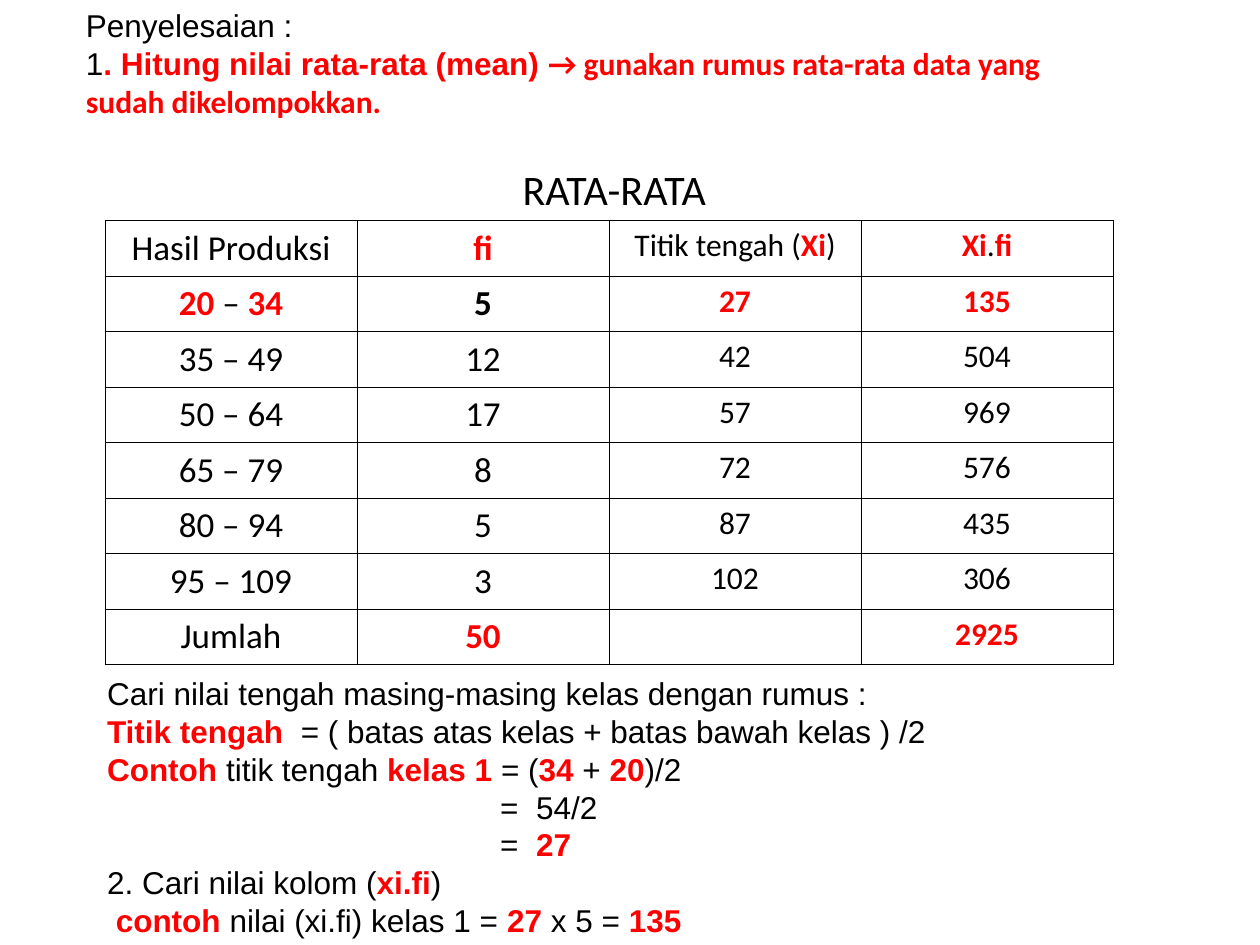
from lxml import etree
from pptx import Presentation
from pptx import util as u
from pptx.dml.color import RGBColor
from pptx.enum import text
from pptx.oxml import parse_xml

NS = "http://schemas.openxmlformats.org/drawingml/2006/main"


def color(target, value):
    target.rgb = RGBColor.from_string(value)


def write(p, marked, size, font):
    for i, part in enumerate(marked.split("*")):
        if part:
            r = p.add_run()
            r.text = part
            r.font.size, r.font.name = u.Pt(size), font
            r.font.bold = i % 2 == 1
            color(r.font.color, "FF0000" if i % 2 else "000000")


prs = Presentation()
prs.slide_width, prs.slide_height = u.Inches(10), u.Inches(7.5)
col, row = prs.slide_width / 12, prs.slide_height / 30
s = prs.slides.add_slide(prs.slide_layouts[1])

rows = [
    ["Hasil Produksi", "*fi*", "Titik tengah (*Xi*)", "*Xi*.*fi*"],
    ["*20 *– *34*", "5", "*27*", "*135*"],
    ["35 – 49", "12", "42", "504"],
    ["50 – 64", "17", "57", "969"],
    ["65 – 79", "8", "72", "576"],
    ["80 – 94", "5", "87", "435"],
    ["95 – 109", "3", "102", "306"],
    ["Jumlah", "*50*", "", "*2925*"],
]
sp = s.shapes.add_table(8, 4, int(col), int(7 * row), int(9.6 * col), u.Inches(3.47))
tbl = sp.table
tbl.first_row = tbl.horz_banding = False
for i, values in enumerate(rows):
    for j, value in enumerate(values):
        cell = tbl.cell(i, j)
        p = cell.text_frame.paragraphs[0]
        p.alignment = text.PP_ALIGN.CENTER
        write(p, value, 20 if j < 2 else 18, "Calibri")
        cell.fill.background()
        tcPr = cell._tc.get_or_add_tcPr()
        for k, side in enumerate(("lnL", "lnR", "lnT", "lnB")):
            tcPr.insert(k, parse_xml(
                f'<a:{side} xmlns:a="{NS}" w="{u.Pt(0.45)}"><a:solidFill>'
                f'<a:srgbClr val="000000"/></a:solidFill></a:{side}>'))
tbl.cell(1, 1).text_frame.paragraphs[0].runs[0].font.bold = True

title, body = s.placeholders
heading = s.shapes.add_textbox(0, 0, 0, 0)
blocks = [
    (title, (2.6, 5, 6.5, 2), 24, "Calibri", ["RATA-RATA"]),
    (heading, (0.7, 0, 9.9, 4), 18, "Arial", [
        "Penyelesaian :",
        "1*. Hitung nilai rata-rata (mean) *"
        "*→ gunakan rumus rata-rata data yang sudah dikelompokkan.*",
    ]),
    (body, (0.9, 21.2, 10.8, 8.8), 18, "Arial", [
        "Cari nilai tengah masing-masing kelas dengan rumus :",
        "*Titik tengah*  = ( batas atas kelas + batas bawah kelas ) /2",
        "*Contoh* titik tengah *kelas 1* = (*34* + *20*)/2",
        "=  54/2",
        "=  *27*",
        "2. Cari nilai kolom (*xi.fi*)",
        " *contoh* nilai (xi.fi) kelas 1 = *27 *x 5 = *135*",
    ]),
]
for sp, (x, y, w, h), size, font, lines in blocks:
    sp.left, sp.top, sp.width, sp.height = int(x * col), int(y * row), int(w * col), int(h * row)
    tf = sp.text_frame
    tf.word_wrap = True
    tf.auto_size = text.MSO_AUTO_SIZE.NONE
    tf.vertical_anchor = text.MSO_ANCHOR.TOP
    for i, line in enumerate(lines):
        p = tf.paragraphs[0] if i == 0 else tf.add_paragraph()
        p.alignment = text.PP_ALIGN.CENTER if sp is title else text.PP_ALIGN.LEFT
        p.space_before = u.Pt(0)
        write(p, line, size, font)
        pPr = p._p.get_or_add_pPr()
        pPr.set("marL", str(u.Inches(3.12) if line.startswith("=") else 0))
        pPr.set("indent", "0")
        etree.SubElement(pPr, f"{{{NS}}}buNone")
heading.text_frame.paragraphs[1].runs[-1].font.name = "Calibri"

prs.save("out.pptx")
